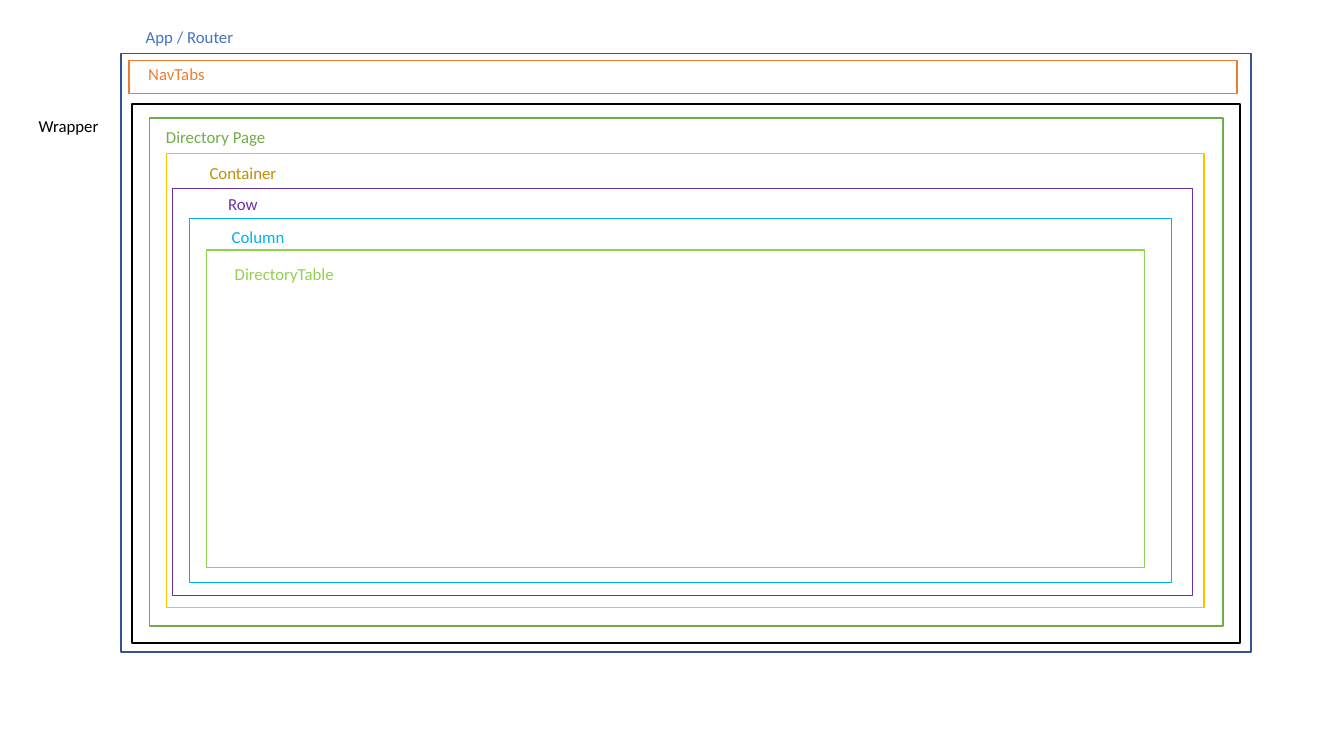
from dataclasses import dataclass

import pptx
import pptx.dml.color
import pptx.enum.shapes
import pptx.enum.text
import pptx.slide
import pptx.util
from pptx.util import Inches

LABEL_WIDTH, LABEL_HEIGHT = 1.36, 0.3


@dataclass
class Component:
    """A framed interface component and its label, lengths in inches."""
    name: str
    frame: tuple[float, float, float, float]
    label_at: tuple[float, float]
    line_color: str
    text_color: str
    fill_color: str | None = "FFFFFF"


# Components from the outermost to the innermost
COMPONENTS = [
    Component("App / Router", (1.2, 0.53, 11.21, 5.94), (1.2, 0.22), "325491", "4472C4", None),
    Component("NavTabs", (1.28, 0.6, 10.99, 0.33), (1.07, 0.58), "ED7D31", "ED7D31"),
    Component("Wrapper", (1.31, 1.03, 10.99, 5.35), (0, 1.1), "000000", "000000"),
    Component("Directory Page", (1.48, 1.17, 10.65, 5.04), (1.46, 1.21), "70AD47", "70AD47"),
    Component("Container", (1.65, 1.52, 10.29, 4.51), (1.73, 1.57), "FFC000", "BF9000"),
    Component("Row", (1.71, 1.87, 10.12, 4.04), (1.73, 1.87), "7030A0", "7030A0"),
    Component("Column", (1.88, 2.17, 9.74, 3.61), (1.88, 2.2), "00B0F0", "00B0F0"),
    Component("DirectoryTable", (2.05, 2.48, 9.3, 3.15), (2.14, 2.57), "92D050", "92D050"),
]


def color(value: str) -> pptx.dml.color.RGBColor:
    return pptx.dml.color.RGBColor.from_string(value)


def draw_frame(slide: pptx.slide.Slide, component: Component) -> None:
    shape = slide.shapes.add_shape(
        pptx.enum.shapes.MSO_SHAPE.RECTANGLE, *map(Inches, component.frame))
    shape.shadow.inherit = False
    shape.line.color.rgb = color(component.line_color)
    shape.line.width = pptx.util.Pt(1)
    if component.fill_color is None:
        shape.fill.background()
    else:
        shape.fill.solid()
        shape.fill.fore_color.rgb = color(component.fill_color)


def draw_label(slide: pptx.slide.Slide, component: Component) -> None:
    label = slide.shapes.add_textbox(
        *map(Inches, (*component.label_at, LABEL_WIDTH, LABEL_HEIGHT)))
    text_frame = label.text_frame
    text_frame.word_wrap = True
    text_frame.auto_size = pptx.enum.text.MSO_AUTO_SIZE.SHAPE_TO_FIT_TEXT
    text_frame.text = component.name
    paragraph = text_frame.paragraphs[0]
    paragraph.alignment = pptx.enum.text.PP_ALIGN.CENTER
    font = paragraph.runs[0].font
    font.name = "Calibri"
    font.size = pptx.util.Pt(12)
    font.color.rgb = color(component.text_color)


# Blank widescreen slide
presentation = pptx.Presentation()
presentation.slide_width = Inches(13.33)
presentation.slide_height = Inches(7.5)
slide = presentation.slides.add_slide(presentation.slide_layouts[6])

# Nested frames, then the labels above them
for component in COMPONENTS:
    draw_frame(slide, component)
for component in COMPONENTS:
    draw_label(slide, component)

presentation.save("out.pptx")
